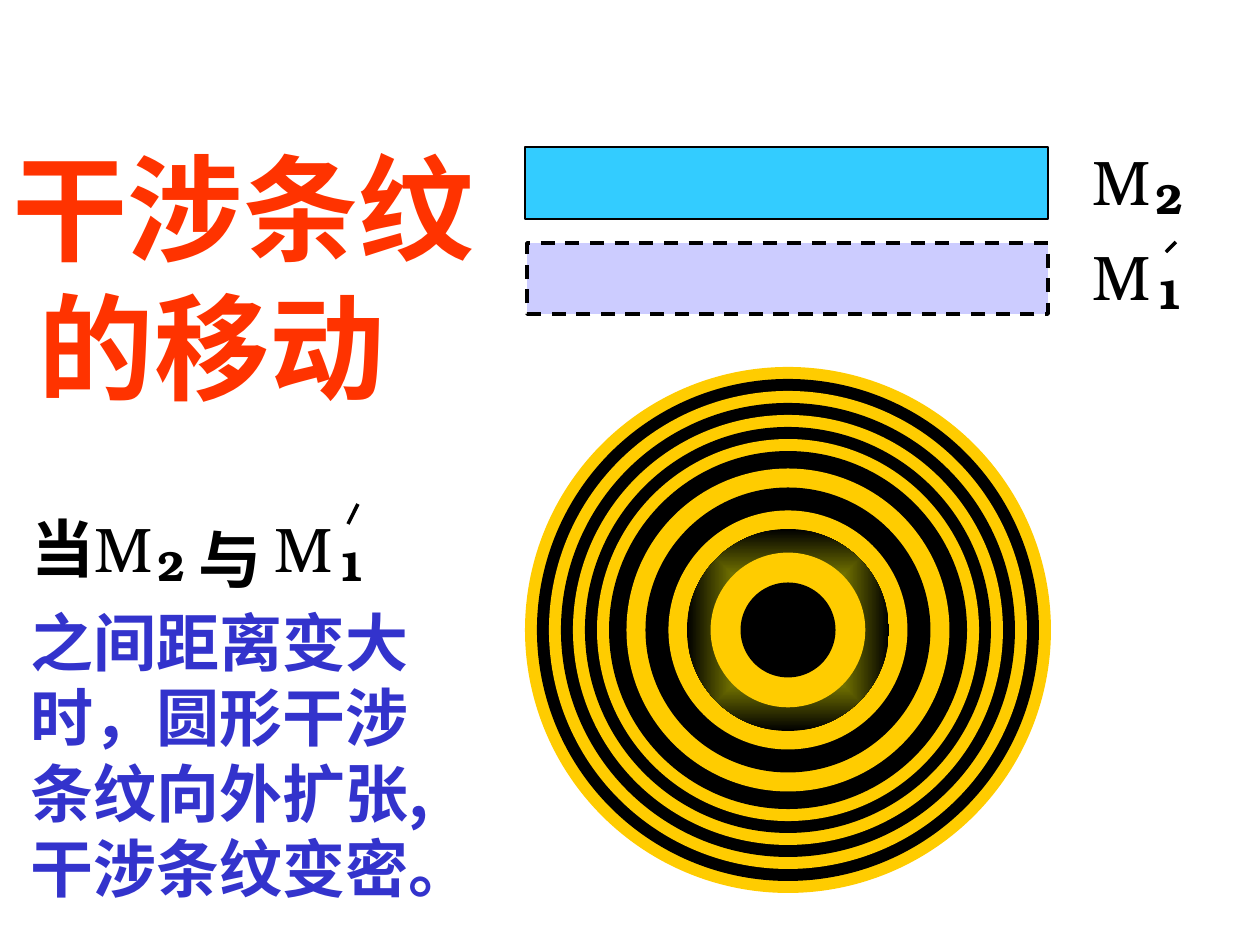
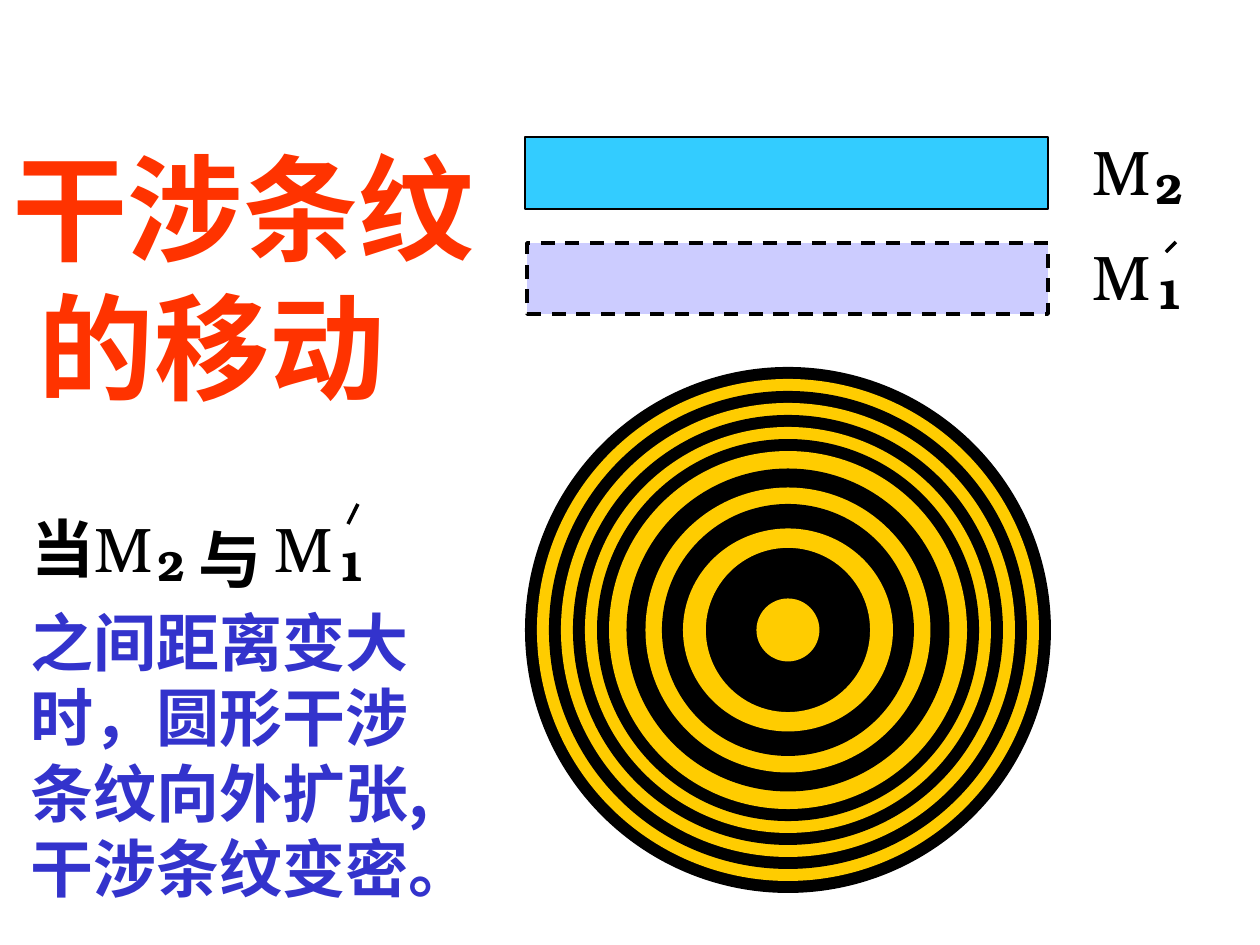
from lxml import etree
from pptx import Presentation
from pptx.dml.color import RGBColor
from pptx.enum.dml import MSO_LINE
from pptx.enum.shapes import MSO_CONNECTOR, MSO_SHAPE
from pptx.enum.text import MSO_AUTO_SIZE
from pptx.oxml import parse_xml
from pptx.oxml.ns import nsdecls, qn
from pptx.util import Emu, Pt

PX_PER_INCH = 126
RECT, OVAL = MSO_SHAPE.RECTANGLE, MSO_SHAPE.OVAL
STRAIGHT = MSO_CONNECTOR.STRAIGHT
DASH = MSO_LINE.DASH
GROW = MSO_AUTO_SIZE.SHAPE_TO_FIT_TEXT

HAN, SERIF = "Noto Sans CJK SC", "TeX Gyre Bonum"
COLORS = {
    "black": "000000",
    "gold": "FFCC00",
    "glow": "FFFF00",
    "glass": "33CCFF",
    "virtual": "CCCCFF",
    "title": "FF3300",
    "body": "3333CC",
}

TITLE = ["干涉条纹", " 的移动"]
BODY = ["之间距离变大", "时，圆形干涉", "条纹向外扩张,", "干涉条纹变密。"]

# Outer rings are evenly spaced; inner ones widen towards the centre
RING_BOX = (525, 367, 526)
OUTER_RINGS = [526 - 24 * step for step in range(8)]
STATES = [
    {"m2_top": 147, "outer": "gold",
     "inner": [(323, 323), (285, 285), (239, 239), (202, 202), (153, 153), (95, 95)],
     "glowing": 202, "outlined": 153},
    {"m2_top": 137, "outer": "black",
     "inner": [(323, 323), (285, 285), (252, 252), (210, 203), (166, 166), (63, 63)],
     "glowing": None, "outlined": 166},
]


def px(length):
    return Emu(round(length * 914400 / PX_PER_INCH))


def color(name):
    return RGBColor.from_string(COLORS[name])


def add_filled(shapes, kind, box, fill, line=None, line_width=1):
    shape = shapes.add_shape(kind, *map(px, box))
    shape.shadow.inherit = False
    shape.fill.solid()
    shape.fill.fore_color.rgb = color(fill)
    if line:
        shape.line.color.rgb = color(line)
        shape.line.width = Pt(line_width)
    else:
        shape.line.fill.background()
    return shape


def add_text(page, box, lines, size, font=SERIF, ink="black", bold=True):
    frame = page.shapes.add_textbox(*map(px, box)).text_frame
    frame.word_wrap = False
    frame.auto_size = GROW
    for index, line in enumerate(lines):
        para = frame.add_paragraph() if index else frame.paragraphs[0]
        para.text = line
        para.font.size = Pt(size)
        para.font.bold = bold
        para.font.color.rgb = color(ink)
        para.font.name = font
        defaults = para._p.pPr.find(qn("a:defRPr"))
        etree.SubElement(defaults, qn("a:ea")).set("typeface", HAN)


def add_symbol(page, left, top, index, prime_top=None):
    """Letter M with a subscript, and a prime stroke if prime_top is given."""
    add_text(page, (left, top, 83, 88), ["M"], 36, bold=False)
    add_text(page, (left + 63, top + 30, 53, 63), [index], 24)
    if prime_top is not None:
        ends = (left + 96, top + prime_top, left + 86, top + 21)
        stroke = page.shapes.add_connector(STRAIGHT, *map(px, ends))
        stroke.line.color.rgb = color("black")
        stroke.line.width = Pt(2)
        etree.SubElement(stroke._element.spPr, qn("a:effectLst"))


def add_glow(shape):
    """Replace the fill by a rectangular gradient from the centre."""
    stops = "".join(
        f'<a:gs pos="{pos}"><a:srgbClr val="{COLORS[name]}"/></a:gs>'
        for pos, name in ((0, "glow"), (100000, "black")))
    gradient = parse_xml(
        f'<a:gradFill {nsdecls("a")} rotWithShape="1"><a:gsLst>{stops}</a:gsLst>'
        '<a:path path="rect"><a:fillToRect l="50000" t="50000" r="50000" b="50000"/>'
        '</a:path></a:gradFill>')
    properties = shape._element.spPr
    properties.replace(properties.find(qn("a:solidFill")), gradient)


def draw_fringes(page, box, state):
    left, top, size = box
    rings = page.shapes.add_group_shape().shapes
    pair = ["gold", "black"]
    start = pair.index(state["outer"])
    diameters = [(size, size) for size in OUTER_RINGS] + state["inner"]
    for index, (width, height) in enumerate(diameters):
        ring_box = (left + (size - width) / 2, top + (size - height) / 2, width, height)
        outline = "gold" if width == state["outlined"] else None
        ring = add_filled(rings, OVAL, ring_box, pair[(start + index) % 2], outline)
        if width == state["glowing"]:
            add_glow(ring)


def draw_mirrors(page, left, m2_top):
    add_filled(page.shapes, RECT, (left, m2_top, 523, 72), "glass", "black")
    virtual = add_filled(page.shapes, RECT, (left + 2, 243, 521, 71),
                         "virtual", "black", 2)
    virtual.line.dash_style = DASH
    add_symbol(page, left + 555, m2_top - 11, "2")
    add_symbol(page, left + 555, 231, "1", prime_top=11)


def draw_explanation(page, left, top):
    # Opening line with the two mirror symbols
    add_text(page, (left + 1, top, 88, 88), ["当"], 36)
    add_symbol(page, left + 64, top, "2")
    add_text(page, (left + 168, top + 11, 88, 88), ["与"], 36)
    add_symbol(page, left + 244, top, "1", prime_top=1)
    # Remaining sentence
    add_text(page, (left, top + 94, 466, 315), BODY, 36, HAN, "body")


def build_slide(deck, state):
    page = deck.slides.add_slide(deck.slide_layouts[6])
    draw_fringes(page, RING_BOX, state)
    draw_mirrors(page, 525, state["m2_top"])
    draw_explanation(page, 18, 503)
    add_text(page, (0, 131, 488, 290), TITLE, 66, HAN, "title")


def main():
    deck = Presentation()
    deck.slide_width, deck.slide_height = px(1260), px(945)
    for state in STATES:
        build_slide(deck, state)
    deck.save("out.pptx")


if __name__ == "__main__":
    main()
